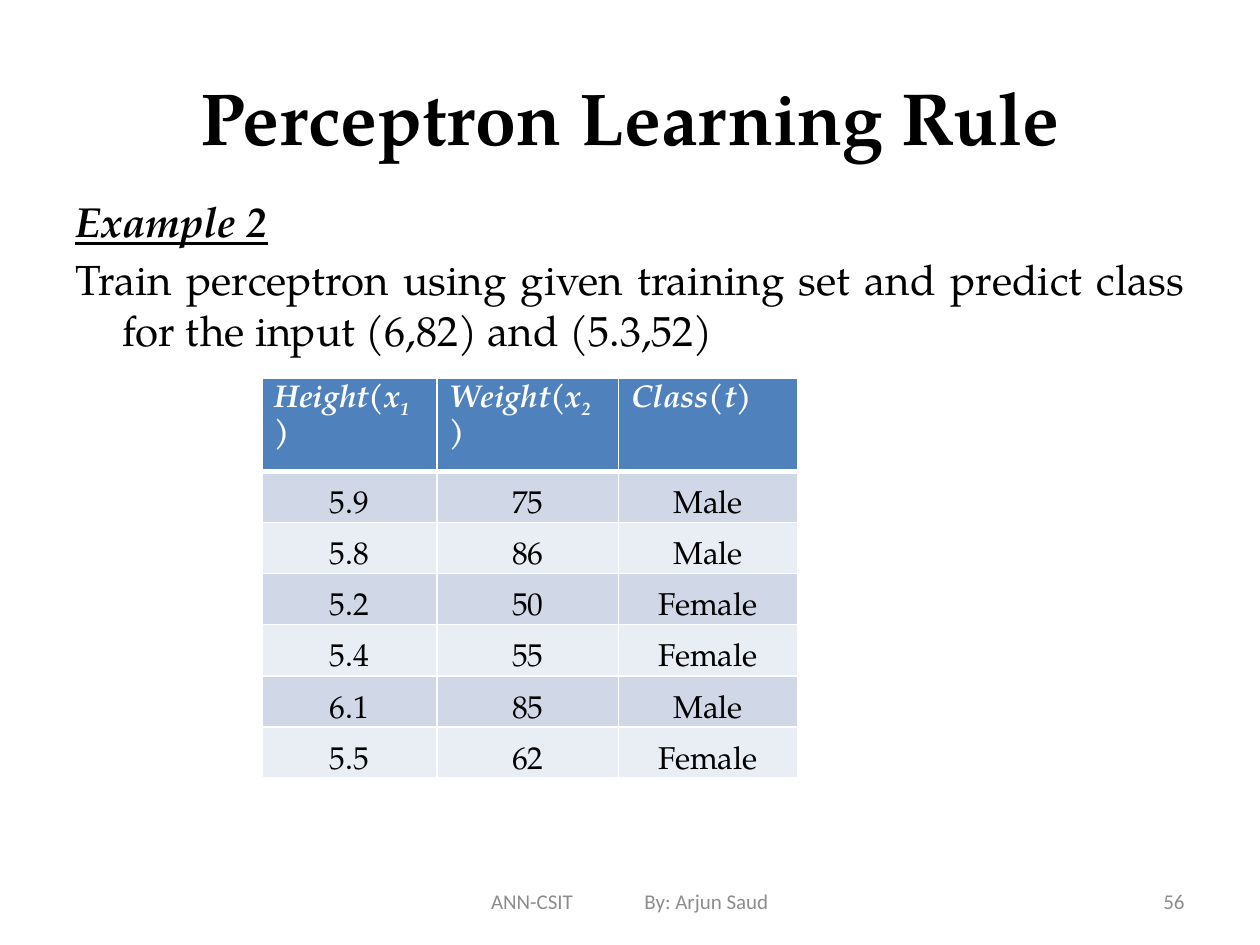
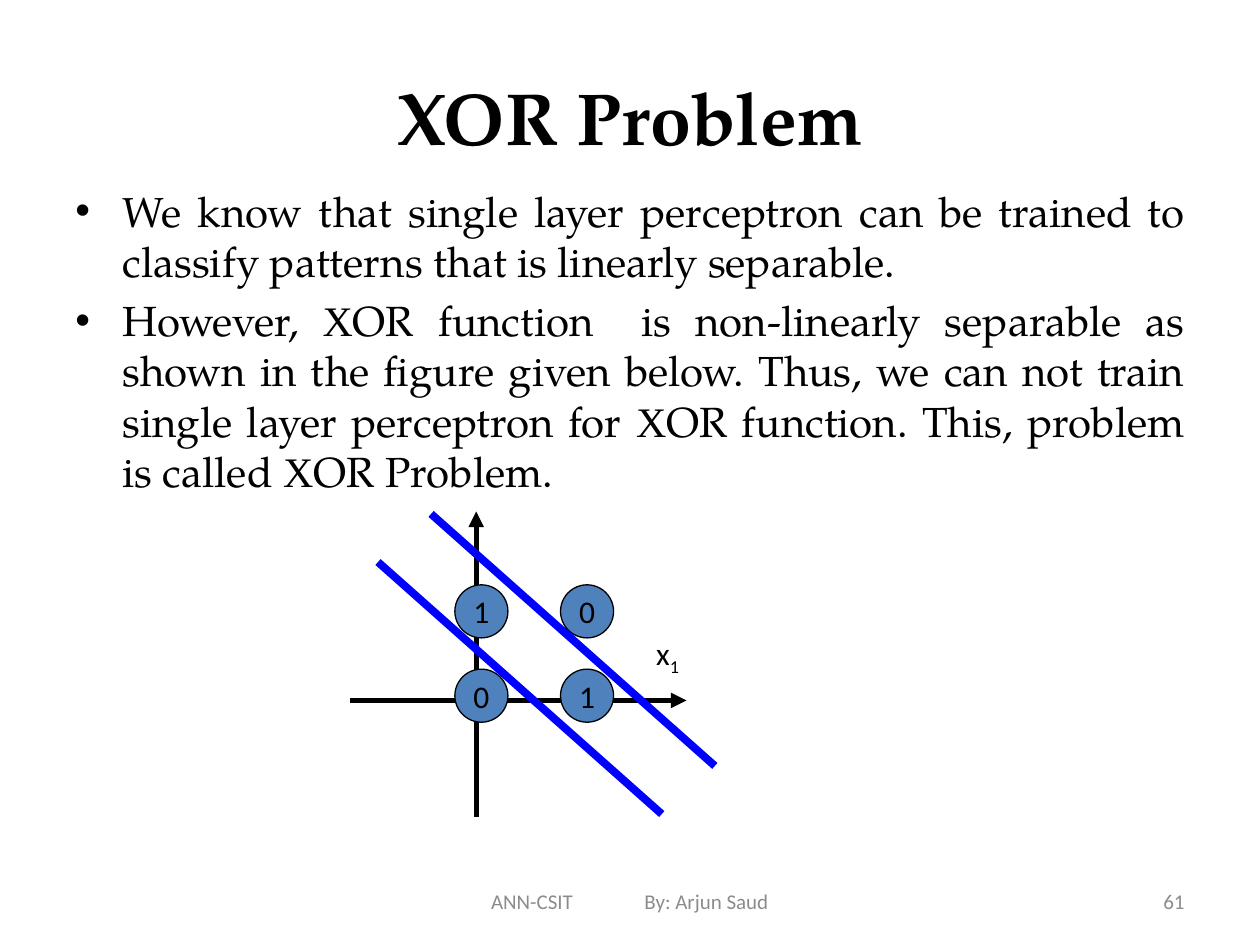
from dataclasses import dataclass
from itertools import product
from typing import Optional, Sequence, Union

import pptx
import pptx.dml.color
import pptx.enum.shapes
import pptx.enum.text
import pptx.oxml
import pptx.oxml.ns
import pptx.util
from pptx.util import Cm

COLORS = {
    "text": "000000",
    "white": "FFFFFF",
    "footer": "8C8C8C",
    "accent": "4F81BD",
    "band_dark": "D0D8E8",
    "band_light": "E9EDF4",
    "boundary": "0000FF",
}
SERIF, SANS, TIMES = "TeX Gyre Pagella", "Calibri", "Times New Roman"
ALIGN = pptx.enum.text.PP_ALIGN
ANCHOR = pptx.enum.text.MSO_ANCHOR
NAMESPACE = pptx.oxml.ns.nsdecls("a")


@dataclass(frozen=True)
class Span:
    """A piece of text that differs from its paragraph."""
    text: str
    font: Optional[str] = None
    subscript: bool = False


@dataclass(frozen=True)
class Line:
    """A straight line; lengths in centimetres, width in points."""
    start: tuple[float, float]
    end: tuple[float, float]
    color: str
    width: float
    arrow: bool = False


@dataclass(frozen=True)
class Node:
    """A circle holding the XOR output for one input pair."""
    left: float
    top: float
    output: str


Text = Union[str, Sequence[Span]]


def rgb(name: str) -> pptx.dml.color.RGBColor:
    return pptx.dml.color.RGBColor.from_string(COLORS[name])


def append_xml(parent, xml: str) -> None:
    parent.append(pptx.oxml.parse_xml(xml))


# Text

def write(frame, text: Text, *, size: float, font: str = SERIF, color: str = "text",
          bold: bool = False, italic: bool = False, underline: bool = False,
          align=ALIGN.LEFT, hanging: float = 0, bullet: str = "",
          space_before: float = 0, tab: float = 0) -> None:
    """Write one paragraph, reusing the first one while it is empty."""
    first = frame.paragraphs[0]
    paragraph = frame.add_paragraph() if first.runs else first
    paragraph.alignment = align
    paragraph.space_before = pptx.util.Pt(space_before)
    properties = paragraph._p.get_or_add_pPr()
    if hanging:
        properties.set("marL", str(Cm(hanging)))
        properties.set("indent", str(-Cm(hanging)))
    if bullet:
        append_xml(properties, f'<a:buFont {NAMESPACE} typeface="Arial"/>')
        append_xml(properties, f'<a:buChar {NAMESPACE} char="{bullet}"/>')
    if tab:
        append_xml(properties, f'<a:tabLst {NAMESPACE}><a:tab pos="{Cm(tab)}" algn="l"/></a:tabLst>')
    for span in [Span(text)] if isinstance(text, str) else text:
        run = paragraph.add_run()
        run.text = span.text
        run.font.name = span.font or font
        run.font.size = pptx.util.Pt(size)
        run.font.bold, run.font.italic, run.font.underline = bold, italic, underline
        run.font.color.rgb = rgb(color)
        if span.subscript:
            run._r.get_or_add_rPr().set("baseline", "-25000")


def add_frame(slide, left: float, top: float, width: float, height: float,
              anchor=ANCHOR.TOP, wrap: bool = True):
    box = slide.shapes.add_textbox(Cm(left), Cm(top), Cm(width), Cm(height))
    box.text_frame.word_wrap = wrap
    box.text_frame.vertical_anchor = anchor
    return box.text_frame


def write_body(frame, text: Text, **formatting) -> None:
    write(frame, text, size=24, align=ALIGN.JUSTIFY, hanging=0.95, space_before=4.8, **formatting)


# Shared slide parts

def add_slide(presentation, title: str, number: int):
    slide = presentation.slides.add_slide(presentation.slide_layouts[6])
    write(add_frame(slide, 1.27, 0.76, 22.86, 3.18, ANCHOR.MIDDLE), title,
          size=42, bold=True, align=ALIGN.CENTER)
    write(add_frame(slide, 18.2, 17.65, 5.93, 1.02, ANCHOR.MIDDLE), str(number),
          size=12, font=SANS, color="footer", align=ALIGN.RIGHT)
    write(add_frame(slide, 9.65, 17.65, 6.35, 1.02, ANCHOR.MIDDLE), "ANN-CSIT\tBy: Arjun Saud",
          size=12, font=SANS, color="footer", tab=3.09)
    return slide


# Table

def set_borders(cell, bottom_width: float) -> None:
    properties = cell._tc.get_or_add_tcPr()
    widths = {"lnL": 1, "lnR": 1, "lnT": 1, "lnB": bottom_width}
    for index, (side, width) in enumerate(widths.items()):
        properties.insert(index, pptx.oxml.parse_xml(
            f'<a:{side} {NAMESPACE} w="{pptx.util.Pt(width)}"><a:solidFill>'
            f'<a:srgbClr val="{COLORS["white"]}"/></a:solidFill></a:{side}>'))


def add_training_table(slide, header: Sequence[Text], samples: Sequence[Sequence[str]]) -> None:
    column_widths, row_height = (3.53, 3.66, 3.61), 1.03
    rows = [header, *samples]
    table = slide.shapes.add_table(len(rows), len(header), Cm(5.28), Cm(7.62),
                                   Cm(sum(column_widths)), Cm(row_height * len(rows))).table
    for column, width in zip(table.columns, column_widths):
        column.width = Cm(width)
    for row_index, values in enumerate(rows):
        table.rows[row_index].height = Cm(row_height)
        for column_index, value in enumerate(values):
            cell = table.cell(row_index, column_index)
            cell.fill.solid()
            if row_index == 0:
                cell.fill.fore_color.rgb = rgb("accent")
                write(cell.text_frame, value, size=18, color="white", bold=True, italic=True)
            else:
                cell.fill.fore_color.rgb = rgb("band_dark" if row_index % 2 else "band_light")
                cell.vertical_anchor = ANCHOR.BOTTOM
                cell.margin_left = cell.margin_right = cell.margin_top = Cm(0.03)
                cell.margin_bottom = Cm(0)
                write(cell.text_frame, value, size=18, align=ALIGN.CENTER)
            set_borders(cell, bottom_width=1 if row_index else 3)


# Diagram

def draw_line(slide, line: Line) -> None:
    connector = slide.shapes.add_connector(
        pptx.enum.shapes.MSO_CONNECTOR.STRAIGHT,
        *(Cm(value) for value in (*line.start, *line.end)))
    connector.line.color.rgb = rgb(line.color)
    connector.line.width = pptx.util.Pt(line.width)
    if line.arrow:
        append_xml(connector.line._get_or_add_ln(), f'<a:tailEnd {NAMESPACE} type="triangle"/>')
    append_xml(connector._element.spPr, f'<a:effectLst {NAMESPACE}/>')


def draw_node(slide, node: Node) -> None:
    diameter = Cm(1.07)
    shape = slide.shapes.add_shape(pptx.enum.shapes.MSO_SHAPE.OVAL,
                                   Cm(node.left), Cm(node.top), diameter, diameter)
    shape.shadow.inherit = False
    shape.fill.solid()
    shape.fill.fore_color.rgb = rgb("accent")
    shape.line.color.rgb = rgb("text")
    shape.line.width = pptx.util.Pt(0.75)
    shape.text_frame.word_wrap = False
    shape.text_frame.vertical_anchor = ANCHOR.MIDDLE
    write(shape.text_frame, node.output, size=18, font=SANS, align=ALIGN.CENTER)


def add_xor_diagram(slide) -> None:
    axes = [Line((9.6, 16.46), (9.6, 10.31), "text", 3, arrow=True),
            Line((13.84, 14.12), (7.06, 14.12), "text", 3)]
    axes[1] = Line(axes[1].end, axes[1].start, "text", 3, arrow=True)
    for axis in axes:
        draw_line(slide, axis)
    write(add_frame(slide, 12.98, 12.65, 1.24, 1.27, wrap=False),
          [Span("x"), Span("1", subscript=True)], size=18, font=SANS)
    for x1, x2 in product((0, 1), repeat=2):
        draw_node(slide, Node(9.17 + 2.13 * x1, 13.49 - 1.7 * x2, str(x1 ^ x2)))
    for left, top in ((7.62, 11.33), (8.69, 10.36)):
        draw_line(slide, Line((left, top), (left + 5.72, top + 5.08), "boundary", 4.5))


# Slides

def build_perceptron_slide(presentation) -> None:
    slide = add_slide(presentation, "Perceptron Learning Rule", 56)
    body = add_frame(slide, 1.27, 3.81, 22.86, 13.97)
    write_body(body, "Example 2", bold=True, italic=True, underline=True)
    write_body(body, "Train perceptron using given training set and predict class "
                     "for the input (6,82) and (5.3,52)")
    header = [[Span(f"{name}(x"), Span(index, subscript=True), Span(")")]
              for name, index in (("Height", "1"), ("Weight", "2"))]
    add_training_table(slide, [*header, "Class(t)"], [
        ("5.9", "75", "Male"),
        ("5.8", "86", "Male"),
        ("5.2", "50", "Female"),
        ("5.4", "55", "Female"),
        ("6.1", "85", "Male"),
        ("5.5", "62", "Female"),
    ])


def build_xor_slide(presentation) -> None:
    slide = add_slide(presentation, "XOR Problem", 61)
    body = add_frame(slide, 1.27, 3.61, 22.86, 13.97)
    times_x = Span("X", TIMES)
    write_body(body, "We know that single layer perceptron can be trained to classify "
                     "patterns that is linearly separable.", bullet="•")
    write_body(body, [
        Span("However, "), times_x,
        Span("OR function  is non-linearly separable as shown in the figure given below. "
             "Thus, we can not train single layer perceptron for "), times_x,
        Span("OR function. This, problem is called "), times_x, Span("OR Problem."),
    ], bullet="•")
    add_xor_diagram(slide)


def main() -> None:
    presentation = pptx.Presentation()
    presentation.slide_width, presentation.slide_height = Cm(25.4), Cm(19.05)
    build_perceptron_slide(presentation)
    build_xor_slide(presentation)
    presentation.save("out.pptx")


if __name__ == "__main__":
    main()
